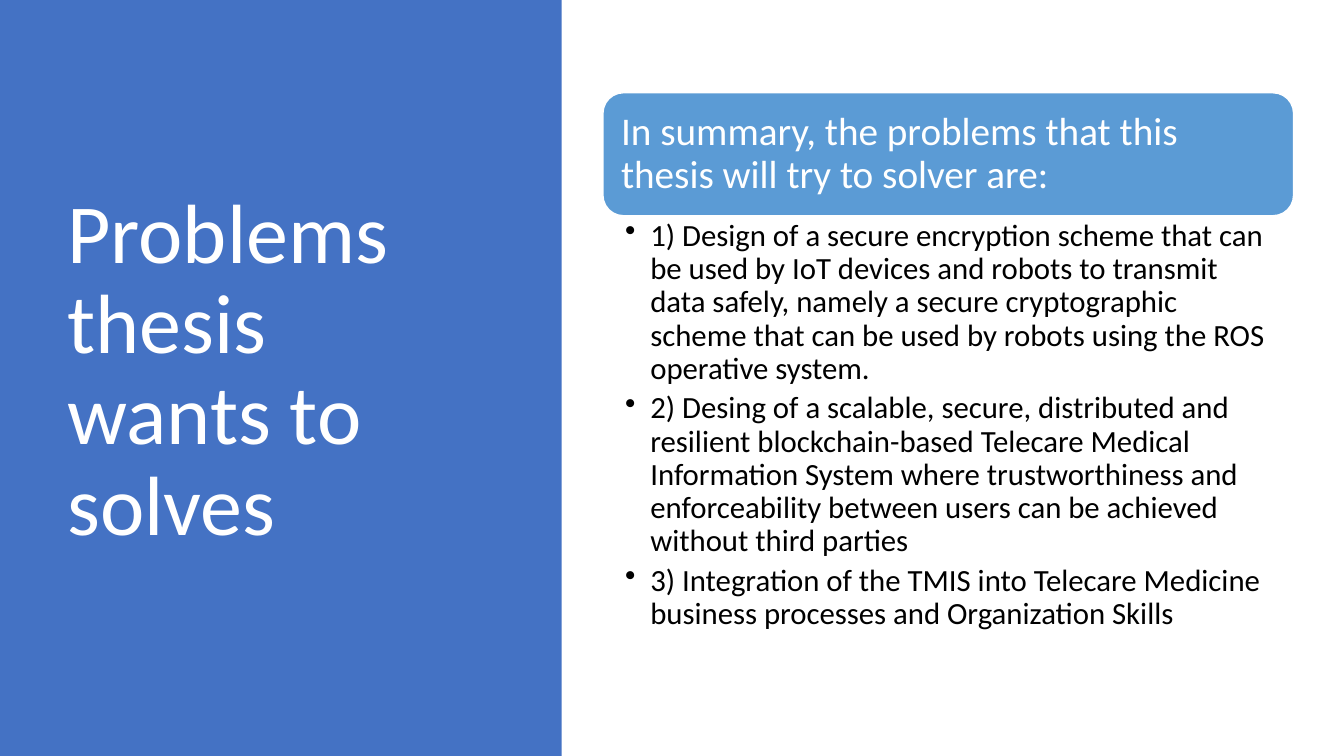
import pptx
import pptx.util
import pptx.dml.color
import pptx.enum.shapes
import pptx.enum.text
import lxml.etree

Inches = pptx.util.Inches
Pt = pptx.util.Pt
SHAPE = pptx.enum.shapes.MSO_SHAPE
ANCHOR = pptx.enum.text.MSO_ANCHOR

POINTS = [
    "1) Design of a secure encryption scheme that can be used by IoT devices and robots to transmit "
    "data safely, namely a secure cryptographic scheme that can be used by robots using the ROS "
    "operative system.",
    "2) Desing of a scalable, secure, distributed and resilient blockchain-based Telecare Medical "
    "Information System where trustworthiness and enforceability between users can be achieved "
    "without third parties",
    "3) Integration of the TMIS into Telecare Medicine business processes and Organization Skills",
]


def color(code):
    return pptx.dml.color.RGBColor.from_string(code)


def bullet(para, indent):
    props = para._p.get_or_add_pPr()
    props.set("marL", str(Inches(indent)))
    props.set("indent", str(-Inches(indent)))
    mark = lxml.etree.SubElement(props, pptx.oxml.ns.qn("a:buChar"))
    mark.set("char", "•")


def write(frame, text, size=22, ink="000000", font="Calibri", after=0, indent=0):
    lines = [text] if isinstance(text, str) else text
    for i, line in enumerate(lines):
        para = frame.add_paragraph() if i else frame.paragraphs[0]
        para.line_spacing = 0.9
        para.space_after = Pt(after)
        run = para.add_run()
        run.text = line
        run.font.size = Pt(size)
        run.font.name = font
        run.font.color.rgb = color(ink)
        if indent:
            bullet(para, indent)


class Deck:
    def __init__(self, wide, high):
        self.show = pptx.Presentation()
        self.show.slide_width = Inches(wide)
        self.show.slide_height = Inches(high)
        self.slide = self.show.slides.add_slide(self.show.slide_layouts[6])

    def panel(self, kind, box, fill, line=None):
        shape = self.slide.shapes.add_shape(kind, *map(Inches, box))
        shape.shadow.inherit = False
        shape.fill.solid()
        shape.fill.fore_color.rgb = color(fill)
        if line:
            shape.line.color.rgb = color(line)
            shape.line.width = Pt(1)
        else:
            shape.line.fill.background()

    def label(self, box, text, pad=(0.1, 0.05), anchor=ANCHOR.MIDDLE, **style):
        frame = self.slide.shapes.add_textbox(*map(Inches, box)).text_frame
        frame.word_wrap = True
        frame.vertical_anchor = anchor
        frame.margin_left = frame.margin_right = Inches(pad[0])
        frame.margin_top = frame.margin_bottom = Inches(pad[1])
        write(frame, text, **style)


def main():
    deck = Deck(13.33, 7.5)
    deck.panel(SHAPE.RECTANGLE, (0, 0, 5.57, 7.5), "4472C4")
    deck.label((0.57, 0.68, 4.16, 6.02), "Problems thesis wants to solves", size=60, ink="FFFFFF")
    deck.panel(SHAPE.ROUNDED_RECTANGLE, (5.98, 0.92, 6.85, 1.22), "5B9BD5", line="FFFFFF")
    deck.label((6.04, 0.98, 6.73, 1.1),
               "In summary, the problems that this thesis will try to solver are:",
               pad=(0.12, 0.12), size=28, ink="FFFFFF")
    deck.label((5.98, 2.14, 6.85, 4.31), POINTS, pad=(0.22, 0.04), anchor=ANCHOR.TOP,
               after=4.4, indent=0.25)
    deck.show.save("out.pptx")


if __name__ == "__main__":
    main()
